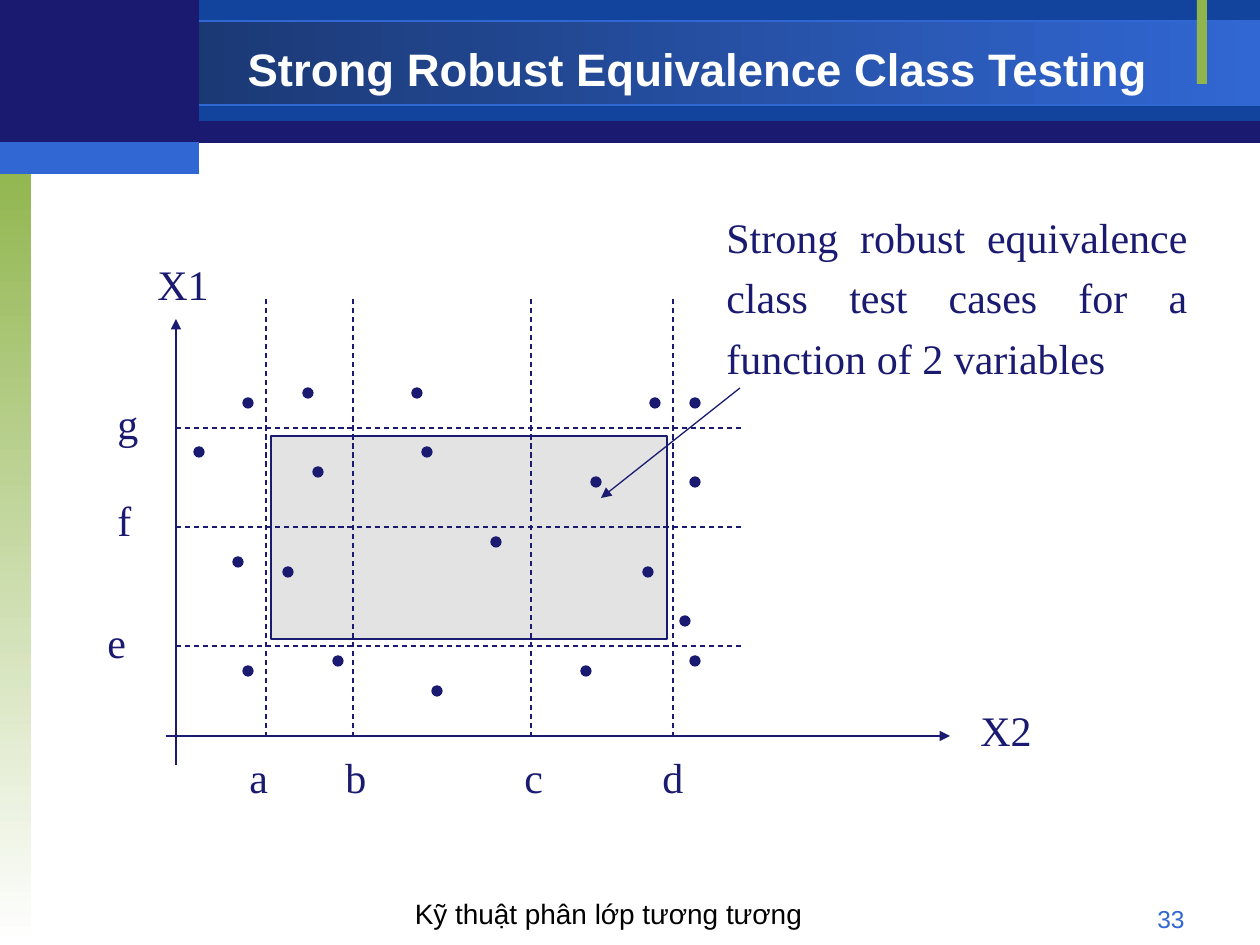
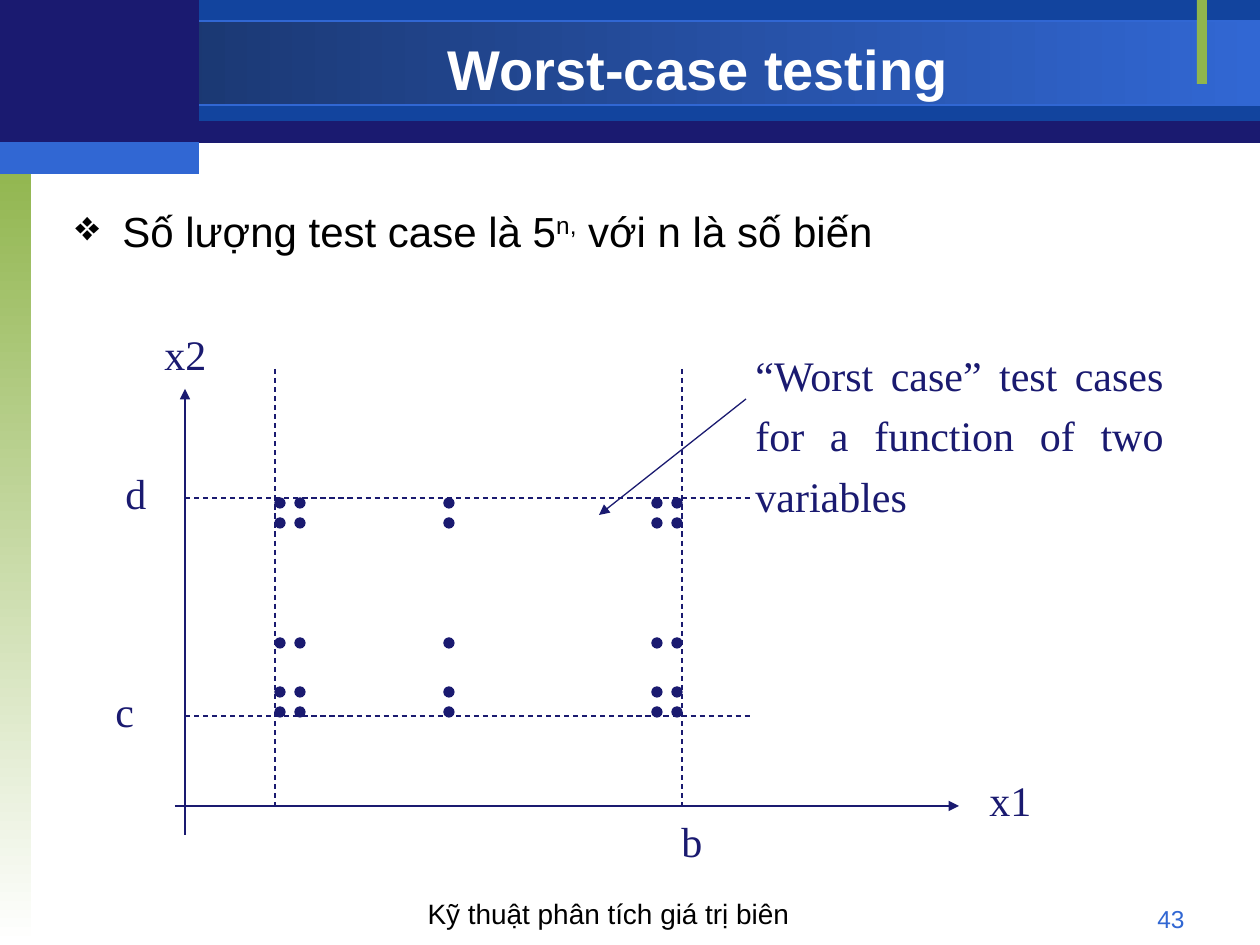
import itertools

import pptx
import pptx.dml.color
import pptx.enum.dml
import pptx.enum.shapes
import pptx.enum.text
import pptx.oxml
import pptx.oxml.ns
import pptx.util
from lxml import etree

RGBColor = pptx.dml.color.RGBColor
Shape = pptx.enum.shapes.MSO_SHAPE
Align = pptx.enum.text.PP_ALIGN
Anchor = pptx.enum.text.MSO_ANCHOR
qn = pptx.oxml.ns.qn

PX = pptx.util.Inches(1) / 126
NAVY = RGBColor(0x1A, 0x1A, 0x70)
DEEP_BLUE = RGBColor(0x12, 0x44, 0x9E)
DARK_BLUE = RGBColor(0x17, 0x30, 0x62)
BRIGHT_BLUE = RGBColor(0x31, 0x67, 0xD3)
GREEN = RGBColor(0x90, 0xB5, 0x4D)
GREY = RGBColor(0xC0, 0xC0, 0xC0)
WHITE = RGBColor(0xFF, 0xFF, 0xFF)
BLACK = RGBColor(0, 0, 0)
SANS = "Arial"
SERIF = "Times New Roman"
THIN = pptx.util.Pt(0.75)
DOT_SIZE = 10

# Box, fill colours (two make a gradient), gradient angle, outline
BANDS = [
    ((0, 1, 1260, 142), [NAVY], None, None),
    ((199, 0, 1061, 121), [DEEP_BLUE], None, None),
    ((0, 21, 1260, 84), [DARK_BLUE, BRIGHT_BLUE], 0, BRIGHT_BLUE),
    ((0, 157, 31, 788), [GREEN, WHITE], 270, None),
    ((1197, 0, 10, 84), [GREEN], None, None),
    ((0, 0, 199, 147), [NAVY], None, None),
    ((0, 142, 199, 32), [BRIGHT_BLUE], None, None),
]

# Guides and labels are offsets from the plot's origin; other places are on the slide.
SLIDES = [
    {
        "title": "Strong Robust Equivalence Class Testing",
        "title_size": 26,
        "footer": "Kỹ thuật phân lớp tương tương",
        "number": "33",
        "bullet": None,
        "region": (271, 436, 396, 203),
        "origin": (176, 736),
        "columns": [90, 177, 355, 497],
        "rows": [90, 209, 308],
        "labels": [
            ("X2", 792, -38, 77), ("X1", -31, -484, 77),
            ("a", 61, 9, 45), ("b", 157, 9, 45), ("c", 336, 9, 45), ("d", 474, 9, 45),
            ("e", -81, -126, 45), ("f", -71, -248, 39), ("g", -71, -345, 45),
        ],
        "callout": "Strong robust equivalence class test cases for a function of 2 variables",
        "callout_box": (714, 195, 486, 194),
        "pointer": (740, 388, 601, 498),
        "dots": [
            (422, 447), (643, 567), (283, 567), (233, 557), (650, 398),
            (690, 656), (412, 388), (690, 398), (591, 477), (690, 477),
            (680, 616), (581, 666), (432, 686), (333, 656), (243, 666),
            (194, 447), (243, 398), (313, 467), (303, 388), (491, 537),
        ],
    },
    {
        "title": "Worst-case testing",
        "title_size": 32,
        "footer": "Kỹ thuật phân tích giá trị biên",
        "number": "43",
        "bullet": ["Số lượng test case là 5", "n,", " với n là số biến"],
        "region": None,
        "origin": (185, 806),
        "columns": [90, 497],
        "rows": [90, 308],
        "labels": [
            ("x1", 792, -38, 67), ("x2", -33, -484, 67),
            ("b", 484, 3, 45), ("c", -82, -127, 45), ("d", -72, -345, 45),
        ],
        "callout": "“Worst case” test cases for a function of two variables",
        "callout_box": (743, 333, 433, 194),
        "pointer": (746, 399, 599, 515),
        "dots": list(itertools.product((275, 295, 444, 652, 672),
                                       (498, 518, 638, 687, 707))),
    },
]


def add_text(slide, runs, box, font_name, size, colour,
             align=Align.LEFT, anchor=Anchor.TOP, wrap=True, spacing=None, bullet=None):
    """Add a one-paragraph text box and return its paragraph."""
    frame = slide.shapes.add_textbox(*(int(length * PX) for length in box)).text_frame
    frame.word_wrap = wrap
    if not wrap:
        frame.auto_size = pptx.enum.text.MSO_AUTO_SIZE.SHAPE_TO_FIT_TEXT
    frame.vertical_anchor = anchor
    paragraph = frame.paragraphs[0]
    paragraph.alignment = align
    if spacing:
        paragraph.line_spacing = spacing
    if bullet:
        properties = paragraph._p.get_or_add_pPr()
        properties.set("marL", str(int(47 * PX)))
        properties.set("indent", str(int(-47 * PX)))
        etree.SubElement(properties, qn("a:buChar")).set("char", bullet)
    for text in runs:
        paragraph.add_run().text = text
    paragraph.font.name = font_name
    paragraph.font.size = pptx.util.Pt(size)
    paragraph.font.color.rgb = colour
    return paragraph


def add_line(slide, ends, dashed=False):
    """Add a thin line: a dashed guide, or else an arrow."""
    connector = slide.shapes.add_connector(
        pptx.enum.shapes.MSO_CONNECTOR.STRAIGHT, *(int(length * PX) for length in ends))
    connector.line.color.rgb = NAVY
    connector.line.width = THIN
    if dashed:
        connector.line.dash_style = pptx.enum.dml.MSO_LINE.DASH
    else:
        outline = connector.line._get_or_add_ln()
        etree.SubElement(outline, qn("a:tailEnd")).set("type", "triangle")
    etree.SubElement(connector._element.spPr, qn("a:effectLst"))


presentation = pptx.Presentation()
presentation.slide_width = pptx.util.Inches(10)
presentation.slide_height = pptx.util.Inches(7.5)

for content in SLIDES:
    slide = presentation.slides.add_slide(presentation.slide_layouts[6])

    # Bands, title, footer and slide number
    for box, colours, angle, outline_colour in BANDS:
        band = slide.shapes.add_shape(Shape.RECTANGLE, *(int(length * PX) for length in box))
        band.shadow.inherit = False
        if len(colours) == 1:
            band.fill.solid()
            band.fill.fore_color.rgb = colours[0]
        else:
            band.fill.gradient()
            band.fill.gradient_angle = angle
            for stop, colour in zip(band.fill.gradient_stops, colours):
                stop.color.rgb = colour
        if outline_colour:
            band.line.color.rgb = outline_colour
            band.line.width = THIN
        else:
            band.line.fill.background()

    title = add_text(slide, [content["title"]], (199, 32, 998, 73), SANS,
                     content["title_size"], WHITE, Align.CENTER, Anchor.MIDDLE)
    title.font.bold = True
    add_text(slide, [content["footer"]], (262, 882, 693, 63), SANS, 16, BLACK,
             Align.CENTER, Anchor.MIDDLE)
    add_text(slide, [content["number"]], (903, 898, 294, 34), SANS, 14, BRIGHT_BLUE, Align.RIGHT)

    if content["bullet"]:
        statement = add_text(slide, content["bullet"], (63, 189, 1134, 693), SANS, 24, BLACK,
                             Align.JUSTIFY, spacing=1.2, bullet="❖")
        statement.runs[1]._r.get_or_add_rPr().set("baseline", "30000")

    # Valid region, axes and guides
    if content["region"]:
        region = slide.shapes.add_shape(
            Shape.RECTANGLE, *(int(length * PX) for length in content["region"]))
        region.shadow.inherit = False
        region.fill.solid()
        region.fill.fore_color.rgb = GREY
        grey = region._element.spPr.find(qn("a:solidFill")).find(qn("a:srgbClr"))
        etree.SubElement(grey, qn("a:alpha")).set("val", "44000")
        region.line.color.rgb = NAVY
        region.line.width = THIN

    origin_x, origin_y = content["origin"]
    add_line(slide, (origin_x, origin_y + 29, origin_x, origin_y - 417))
    add_line(slide, (origin_x - 10, origin_y, origin_x + 774, origin_y))
    for column in content["columns"]:
        x = origin_x + column
        add_line(slide, (x, origin_y - 437, x, origin_y), dashed=True)
    for row in content["rows"]:
        y = origin_y - row
        add_line(slide, (origin_x, y, origin_x + 565, y), dashed=True)
    for text, left, top, width in content["labels"]:
        add_text(slide, [text], (origin_x + left, origin_y + top, width, 63),
                 SERIF, 24, NAVY, wrap=False)

    # Test cases and their callout
    for left, top in content["dots"]:
        dot = slide.shapes.add_shape(
            Shape.OVAL, *(int(length * PX) for length in (left, top, DOT_SIZE, DOT_SIZE)))
        dot.shadow.inherit = False
        dot.fill.solid()
        dot.fill.fore_color.rgb = NAVY
        dot.line.color.rgb = NAVY
        dot.line.width = THIN
    add_line(slide, content["pointer"])
    add_text(slide, [content["callout"]], content["callout_box"], SERIF, 24, NAVY,
             Align.JUSTIFY, spacing=1.2)

presentation.save("out.pptx")
